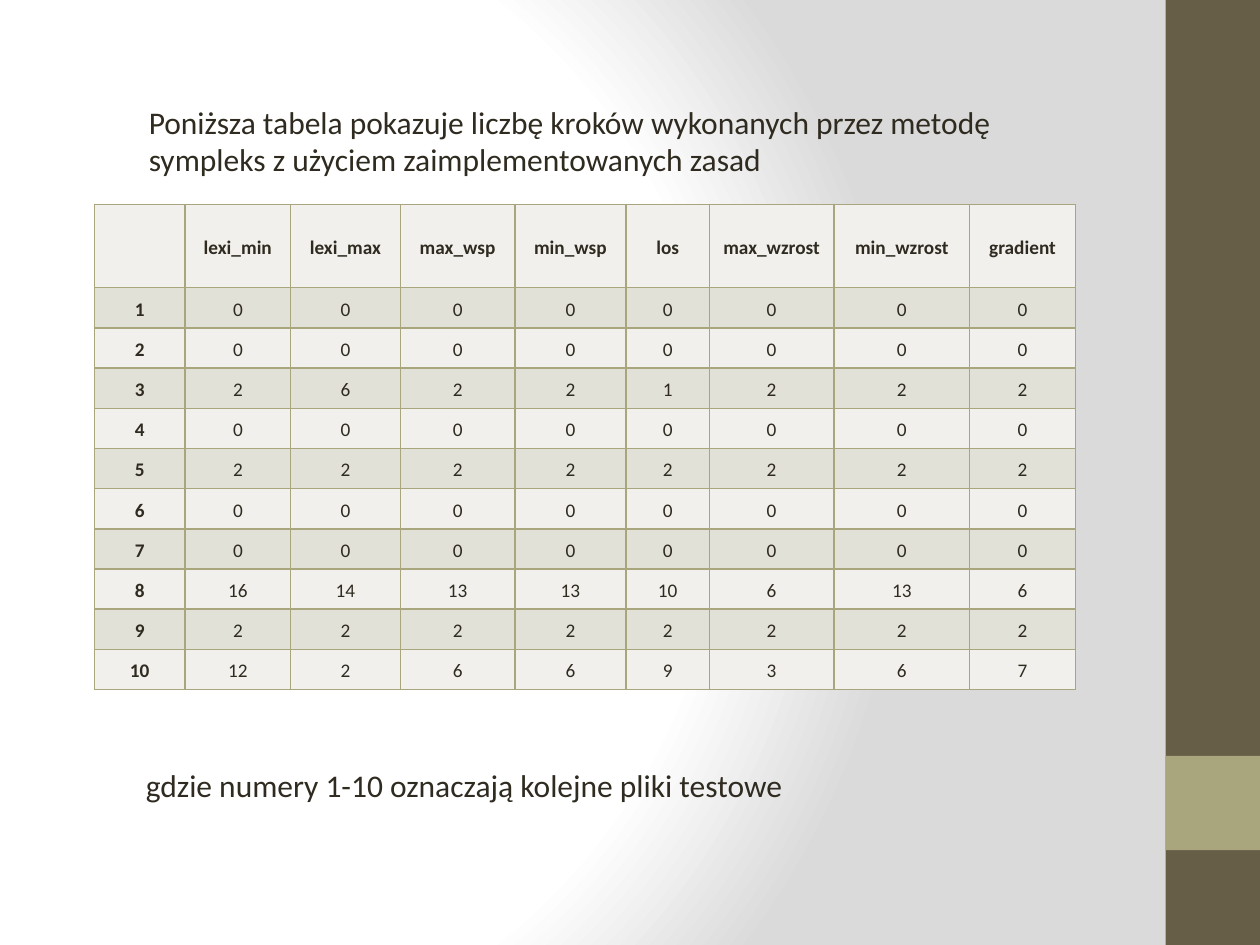
from pptx import Presentation
from pptx.dml.color import RGBColor
from pptx.enum.shapes import MSO_SHAPE
from pptx.enum.text import MSO_ANCHOR, PP_ALIGN
from pptx.oxml import parse_xml
from pptx.oxml.ns import nsdecls, qn
from pptx.util import Cm, Pt

RECT = MSO_SHAPE.RECTANGLE
MIDDLE, TOP = MSO_ANCHOR.MIDDLE, MSO_ANCHOR.TOP
CENTER = PP_ALIGN.CENTER
INK, OLIVE, SAGE = "2F2B20", "675E47", "A9A57C"
LIGHT, BAND = "F1F0EC", "E2E1D7"


def rgb(value):
    return RGBColor.from_string(value)


def add_run(p, text, size, bold=False):
    r = p.add_run()
    r.text = text
    r.font.name = "Calibri"
    r.font.size = Pt(size)
    r.font.bold = bold
    r.font.color.rgb = rgb(INK)


prs = Presentation()
prs.slide_width, prs.slide_height = Cm(25.4), Cm(19.05)
s = prs.slides.add_slide(prs.slide_layouts[6])

stops = "".join(
    f'<a:gs pos="{pos * 1000}"><a:srgbClr val="{color}"/></a:gs>'
    for pos, color in [(0, "FFFFFF"), (75, "FFFFFF"), (100, "DADADA")]
)
background = parse_xml(
    f'<p:bg {nsdecls("p", "a")}><p:bgPr><a:gradFill rotWithShape="1">'
    f'<a:gsLst>{stops}</a:gsLst><a:path path="circle">'
    '<a:fillToRect l="20000" t="50000" r="100000" b="50000"/></a:path>'
    "</a:gradFill><a:effectLst/></p:bgPr></p:bg>"
)
s.element.find(qn("p:cSld")).insert(0, background)

for top, height, color in [(0, 19.05, OLIVE), (15.24, 1.9, SAGE)]:
    bar = s.shapes.add_shape(RECT, Cm(23.5), Cm(top), Cm(1.9), Cm(height))
    bar.shadow.inherit = False
    bar.fill.solid()
    bar.fill.fore_color.rgb = rgb(color)
    bar.line.fill.background()

rules = ["lexi_min", "lexi_max", "max_wsp", "min_wsp", "los",
         "max_wzrost", "min_wzrost", "gradient"]
steps = [
    [0] * 8,
    [0] * 8,
    [2, 6, 2, 2, 1, 2, 2, 2],
    [0] * 8,
    [2] * 8,
    [0] * 8,
    [0] * 8,
    [16, 14, 13, 13, 10, 6, 13, 6],
    [2] * 8,
    [12, 2, 6, 6, 9, 3, 6, 7],
]
rows = [["", *rules]] + [[n, *counts] for n, counts in enumerate(steps, 1)]
col_widths = [1.83, 2.13, 2.21, 2.31, 2.24, 1.68, 2.51, 2.74, 2.13]
row_heights = [1.68] + [0.81] * len(steps)

table = s.shapes.add_table(
    len(rows), len(col_widths), Cm(1.9), Cm(4.12),
    Cm(sum(col_widths)), Cm(sum(row_heights)),
).table
for column, width in zip(table.columns, col_widths):
    column.width = Cm(width)
for row, height in zip(table.rows, row_heights):
    row.height = Cm(height)

for i, values in enumerate(rows):
    for j, value in enumerate(values):
        cell = table.cell(i, j)
        cell.fill.solid()
        cell.fill.fore_color.rgb = rgb(BAND if i % 2 else LIGHT)
        cell.vertical_anchor = MIDDLE
        cell.margin_left = cell.margin_right = Cm(0.18)
        cell.margin_top = cell.margin_bottom = 0
        p = cell.text_frame.paragraphs[0]
        p.alignment = CENTER
        p.line_spacing = 1.15
        if value != "":
            add_run(p, str(value), 11, bold=i == 0 or j == 0)
        for k, side in enumerate(["lnL", "lnR", "lnT", "lnB"]):
            border = parse_xml(
                f'<a:{side} {nsdecls("a")} w="12700"><a:solidFill>'
                f'<a:srgbClr val="{SAGE}"/></a:solidFill></a:{side}>'
            )
            cell._tc.get_or_add_tcPr().insert(k, border)

captions = [
    ("Poniższa tabela pokazuje liczbę kroków wykonanych przez metodę "
     "sympleks z użyciem zaimplementowanych zasad",
     2.31, 1.93, 18.39, 1.8, 0.69, MIDDLE),
    ("gdzie numery 1-10 oznaczają kolejne pliki testowe",
     2.69, 15.32, 20.19, 1.02, 0.25, TOP),
]
for text, left, top, width, height, inset, anchor in captions:
    tf = s.shapes.add_textbox(Cm(left), Cm(top), Cm(width), Cm(height)).text_frame
    tf.word_wrap = True
    tf.vertical_anchor = anchor
    tf.margin_left = Cm(inset)
    add_run(tf.paragraphs[0], text, 18)

prs.save("out.pptx")
